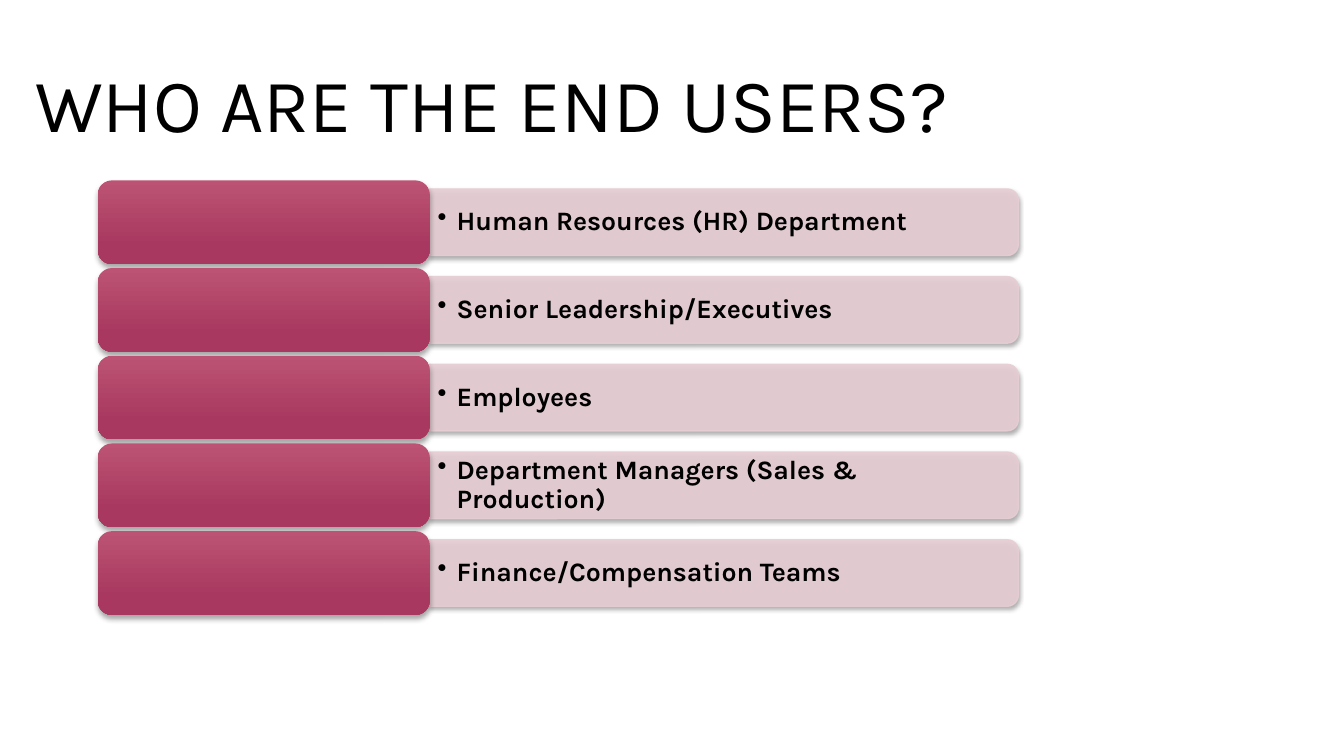
from lxml import etree
from pptx import Presentation
from pptx.dml.color import RGBColor
from pptx.enum.shapes import MSO_SHAPE
from pptx.enum.text import MSO_ANCHOR, MSO_AUTO_SIZE, PP_ALIGN
from pptx.oxml.ns import qn
from pptx.util import Inches, Pt

ROUND = MSO_SHAPE.ROUNDED_RECTANGLE
TAB = MSO_SHAPE.ROUND_2_SAME_RECTANGLE
TOP, MIDDLE = MSO_ANCHOR.TOP, MSO_ANCHOR.MIDDLE
GROW = MSO_AUTO_SIZE.SHAPE_TO_FIT_TEXT
LEFT = PP_ALIGN.LEFT

THEME = {
    "ink": RGBColor.from_string("000000"),
    "pale": RGBColor.from_string("E6CED4"),
    "light": RGBColor.from_string("BC5374"),
    "deep": RGBColor.from_string("A8385F"),
    "font": "Karla",
    "head": Pt(54),
    "body": Pt(19),
}
USERS = [
    "Human Resources (HR) Department",
    "Senior Leadership/Executives",
    "Employees",
    "Department Managers (Sales & Production)",
    "Finance/Compensation Teams",
]

# Row grid, in inches
EDGE, SPLIT, RIGHT = 0.97, 4.26, 10.1
START, PITCH = 1.79, 0.87
BLOCK, BAR, LABEL = 0.83, 0.66, 0.6


def style(part, values):
    for name, value in values.items():
        setattr(part, name, value)


def shade(shape, blur, gap):
    """Give the shape a soft shadow straight below it, in points."""
    shape.shadow.inherit = False
    effects = shape.element.spPr.find(qn("a:effectLst"))
    cast = etree.SubElement(effects, qn("a:outerShdw"), blurRad=str(Pt(blur)),
                            dist=str(Pt(gap)), dir="5400000", rotWithShape="0")
    tone = etree.SubElement(cast, qn("a:srgbClr"), val="000000")
    etree.SubElement(tone, qn("a:alpha"), val="35000")


deck = Presentation()
style(deck, {"slide_width": Inches(13.33), "slide_height": Inches(7.5)})
slide = deck.slides.add_slide(deck.slide_layouts[5])
shapes = slide.shapes

title = shapes.title
style(title, {"left": Inches(0.25), "top": Inches(0.51),
              "width": Inches(9.7), "height": Inches(1.01)})
frame = title.text_frame
frame.text = "WHO ARE THE END USERS?"
style(frame, {"auto_size": GROW, "vertical_anchor": TOP, "word_wrap": True})
para = frame.paragraphs[0]
para.alignment = LEFT
font = para.runs[0].font
style(font, {"name": THEME["font"], "size": THEME["head"], "bold": False})
font.color.rgb = THEME["ink"]

for row, user in enumerate(USERS):
    top = START + row * PITCH
    mid = top + BLOCK / 2
    span = RIGHT - SPLIT

    # A quarter turn puts the tab's rounded corners on the right
    bar = shapes.add_shape(TAB, Inches((SPLIT + RIGHT - BAR) / 2),
                           Inches(mid - span / 2), Inches(BAR), Inches(span))
    bar.rotation = 90
    bar.fill.solid()
    bar.fill.fore_color.rgb = THEME["pale"]
    bar.line.color.rgb = THEME["pale"]
    bar.line.width = Pt(1)
    for tone in bar.element.spPr.iter(qn("a:srgbClr")):
        etree.SubElement(tone, qn("a:alpha"), val="90000")
    shade(bar, 3, 2)

    label = shapes.add_textbox(Inches(SPLIT), Inches(mid - LABEL / 2),
                               Inches(span - 0.03), Inches(LABEL))
    frame = label.text_frame
    style(frame, {"word_wrap": True, "vertical_anchor": MIDDLE,
                  "margin_left": Inches(0.08), "margin_right": Inches(0.08),
                  "margin_top": Inches(0.04), "margin_bottom": Inches(0.04)})
    frame.text = user
    para = frame.paragraphs[0]
    style(para, {"alignment": LEFT, "line_spacing": 0.9})
    props = para.runs[0].font
    style(props, {"name": THEME["font"], "size": THEME["body"], "bold": True})
    props.color.rgb = THEME["ink"]
    rules = para._p.get_or_add_pPr()
    rules.set("marL", str(Inches(0.19)))
    rules.set("indent", str(Inches(-0.19)))
    etree.SubElement(rules, qn("a:buChar"), char="•")

    block = shapes.add_shape(ROUND, Inches(EDGE), Inches(top),
                             Inches(SPLIT - EDGE), Inches(BLOCK))
    block.fill.gradient()
    block.fill.gradient_angle = 270
    stops = zip(block.fill.gradient_stops, ("light", "deep"), (0, 0.78))
    for stop, name, place in stops:
        stop.color.rgb = THEME[name]
        stop.position = place
    block.line.fill.background()
    shade(block, 4, 3)

deck.save("out.pptx")
